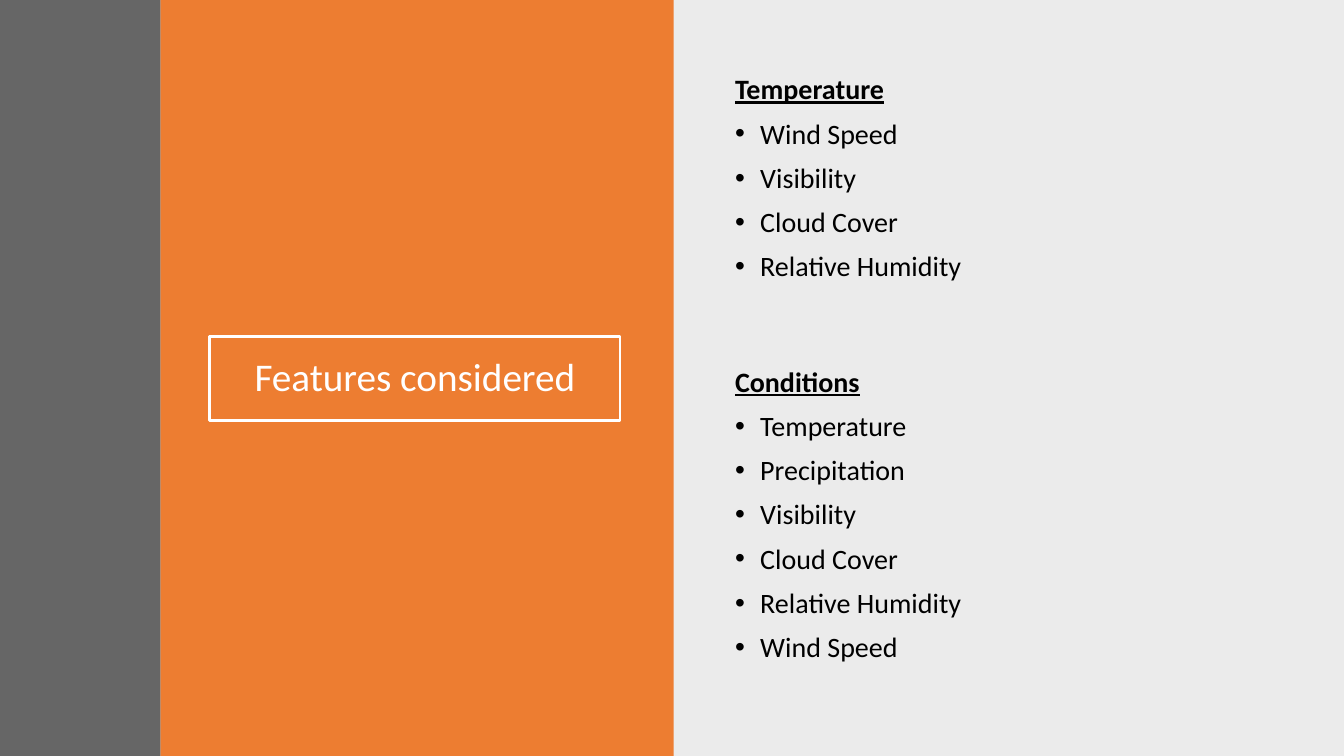
import pptx
import pptx.util
import pptx.dml.color
import pptx.enum.shapes
import pptx.enum.text
import pptx.oxml
import pptx.oxml.ns

Inches = pptx.util.Inches
Pt = pptx.util.Pt
qn = pptx.oxml.ns.qn
NS = pptx.oxml.ns.nsdecls("a")


def paint(color, code):
    color.rgb = pptx.dml.color.RGBColor.from_string(code)


def place(shape, left, top, width, height):
    shape.left, shape.top = Inches(left), Inches(top)
    shape.width, shape.height = Inches(width), Inches(height)


deck = pptx.Presentation()
deck.slide_width, deck.slide_height = Inches(13.33), Inches(7.5)
slide = deck.slides.add_slide(deck.slide_layouts[3])
title, first, second = slide.placeholders

# Background panels, set behind the text: left, width, colour, opacity
panels = [
    (6.67, 6.67, "000000", 8),
    (1.59, 5.09, "ED7D31", 100),
    (0, 1.59, "404040", 80),
]
for left, width, code, alpha in panels:
    panel = slide.shapes.add_shape(
        pptx.enum.shapes.MSO_SHAPE.RECTANGLE,
        Inches(left), 0, Inches(width), deck.slide_height)
    panel.shadow.inherit = False
    panel.line.fill.background()
    panel.fill.solid()
    paint(panel.fill.fore_color, code)
    if alpha < 100:
        tint = panel.fill._xPr.find(qn("a:solidFill"))[0]
        tint.append(pptx.oxml.parse_xml(f'<a:alpha {NS} val="{alpha * 1000}"/>'))
    title._element.addprevious(panel._element)

# Framed title
place(title, 2.08, 3.34, 4.07, 0.83)
paint(title.line.color, "FFFFFF")
title.line.width = Pt(2)
frame = title.text_frame
frame.text = "Features considered"
frame.auto_size = pptx.enum.text.MSO_AUTO_SIZE.NONE
frame.vertical_anchor = pptx.enum.text.MSO_ANCHOR.MIDDLE
para = frame.paragraphs[0]
para.alignment = pptx.enum.text.PP_ALIGN.CENTER
para.line_spacing = 0.9
font = para.runs[0].font
font.name, font.size = "Calibri", Pt(28)
paint(font.color, "FFFFFF")

# Feature lists, each with an underlined heading
lists = [
    (first, 0.7, 2.79, ["Temperature", "Wind Speed", "Visibility",
                        "Cloud Cover", "Relative Humidity"]),
    (second, 3.6, 3.2, ["Conditions", "Temperature", "Precipitation",
                        "Visibility", "Cloud Cover", "Relative Humidity",
                        "Wind Speed"]),
]
for body, top, height, lines in lists:
    place(body, 7.19, top, 5.53, height)
    frame = body.text_frame
    frame.text = "\n".join(lines)
    frame.auto_size = pptx.enum.text.MSO_AUTO_SIZE.NONE
    frame.vertical_anchor = pptx.enum.text.MSO_ANCHOR.TOP
    for row, para in enumerate(frame.paragraphs):
        head = row == 0
        props = para._p.get_or_add_pPr()
        inset = 0 if head else Inches(0.25)
        props.set("marL", str(inset))
        props.set("indent", str(-inset))
        if head:
            props.append(pptx.oxml.parse_xml(f"<a:buNone {NS}/>"))
        else:
            props.append(pptx.oxml.parse_xml(f'<a:buFont {NS} typeface="Arial"/>'))
            props.append(pptx.oxml.parse_xml(f'<a:buChar {NS} char="•"/>'))
        para.line_spacing = 0.9
        para.space_before = Pt(0 if head else 10)
        font = para.runs[0].font
        font.name, font.size = "Calibri", Pt(20)
        font.bold = font.underline = head
        paint(font.color, "000000")

deck.save("out.pptx")
